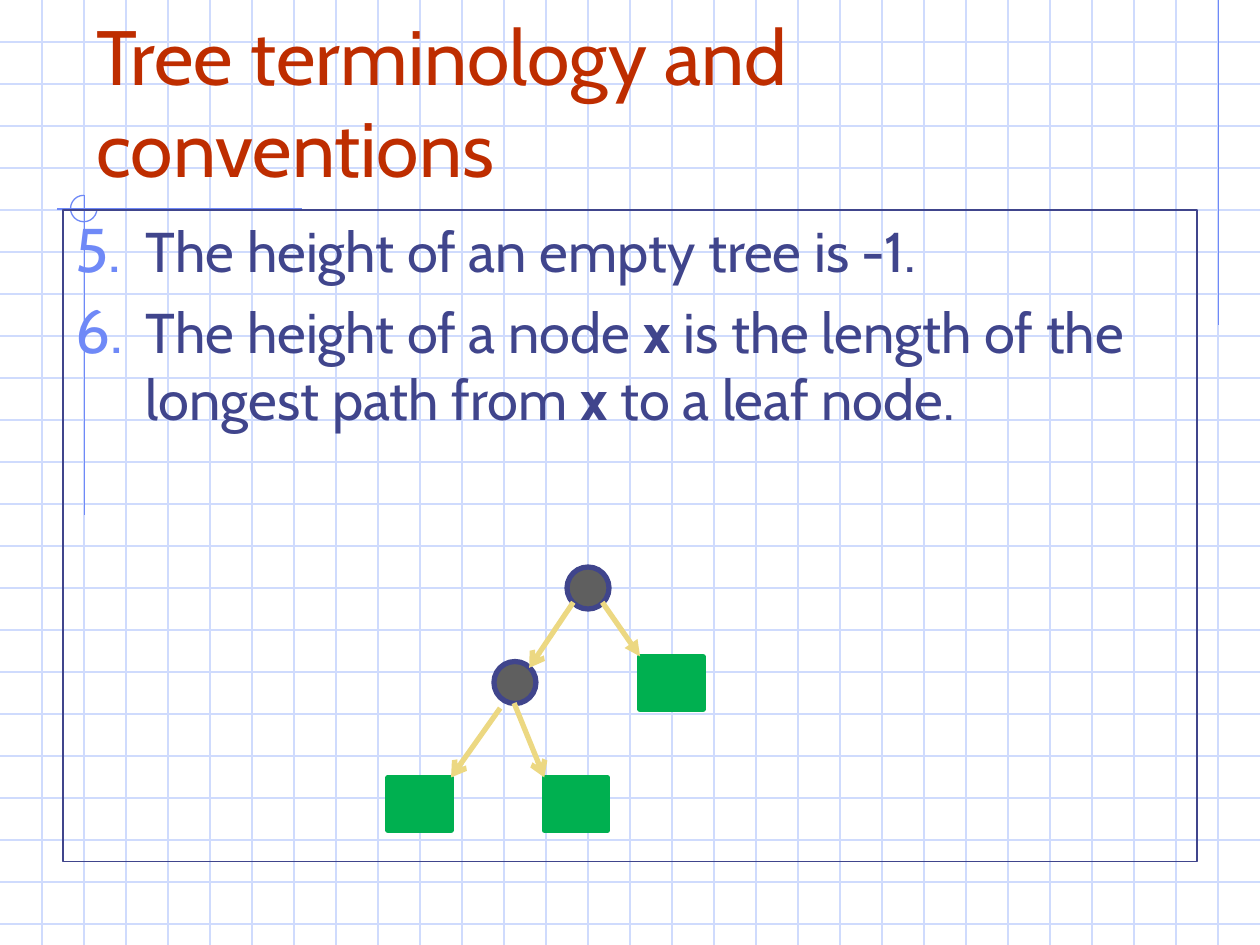
from dataclasses import dataclass
from lxml.etree import SubElement
from pptx import Presentation
from pptx.dml.color import RGBColor
from pptx.enum.shapes import MSO_CONNECTOR, MSO_SHAPE
from pptx.enum.text import MSO_ANCHOR, PP_ALIGN
from pptx.oxml.ns import qn
from pptx.util import Inches, Pt


@dataclass(frozen=True)
class Theme:
    font: str = "Cabin"
    title_size: int = 44
    body_size: int = 32
    thin: float = 0.75
    thick: float = 3
    grid: str = "CFDBFD"
    accent: str = "6F89F7"
    title: str = "BE2D00"
    body: str = "40458C"
    node: str = "5F5F5F"
    leaf: str = "00B050"
    edge: str = "ECD882"


T = Theme()
W, H = 10, 7.5
CELL = 1 / 3
FIRST_NUMBER = 5
INDENT = 0.56

TITLE = "Tree terminology and conventions"
ITEMS = [
    [("The height of an empty tree is -1.", False)],
    [("The height of a node ", False), ("x", True),
     (" is the length of the longest path from ", False),
     ("x ", True), ("to a leaf node.", False)],
]
ACCENTS = [((9.67, 0), (9.67, 2.58)), ((2.4, 1.66), (0.45, 1.66)),
           ((0.67, 1.55), (0.67, 4.09))]
NODES = [(4.5, 4.5), (3.92, 5.25)]
LEAVES = [(3.08, 6.17), (4.32, 6.17), (5.08, 5.21)]
EDGES = [((4.78, 4.78), (5.08, 5.21), "triangle"),
         ((4.55, 4.78), (4.2, 5.3), "arrow"),
         ((3.97, 5.62), (3.58, 6.17), "arrow"),
         ((4.08, 5.58), (4.32, 6.17), "arrow")]


def rgb(color):
    return RGBColor.from_string(color)


def add_line(s, start, end, color, width=T.thin, head=None):
    c = s.shapes.add_connector(MSO_CONNECTOR.STRAIGHT,
                               *(Inches(v) for v in (*start, *end)))
    c.line.color.rgb = rgb(color)
    c.line.width = Pt(width)
    if head:
        SubElement(c.line._get_or_add_ln(), qn("a:tailEnd"), type=head)
    SubElement(c._element.spPr, qn("a:effectLst"))


def add_shape(s, kind, box, line, width=T.thin, fill=None):
    sp = s.shapes.add_shape(kind, *(Inches(v) for v in box))
    sp.shadow.inherit = False
    if fill:
        sp.fill.solid()
        sp.fill.fore_color.rgb = rgb(fill)
    else:
        sp.fill.background()
    sp.line.color.rgb = rgb(line)
    sp.line.width = Pt(width)
    return sp


def format_run(r, size, color, bold=False):
    r.font.name = T.font
    r.font.size = Pt(size)
    r.font.bold = bold
    r.font.color.rgb = rgb(color)


def number_paragraph(p):
    p.alignment = PP_ALIGN.LEFT
    p.space_before = Pt(8)
    pPr = p._p.get_or_add_pPr()
    pPr.set("marL", str(Inches(INDENT)))
    pPr.set("indent", str(-Inches(INDENT)))
    SubElement(SubElement(pPr, qn("a:buClr")), qn("a:srgbClr"), val=T.accent)
    SubElement(pPr, qn("a:buSzPct"), val="110000")
    SubElement(pPr, qn("a:buFont"), typeface=T.font)
    SubElement(pPr, qn("a:buAutoNum"), type="arabicPeriod",
               startAt=str(FIRST_NUMBER))


def add_background(s):
    for i in range(1, int(H / CELL) + 1):
        add_line(s, (0, i * CELL), (W, i * CELL), T.grid)
    for i in range(1, int(W / CELL)):
        add_line(s, (i * CELL, 0), (i * CELL, H), T.grid)
    for start, end in ACCENTS:
        add_line(s, start, end, T.accent)
    arc = add_shape(s, MSO_SHAPE.ARC, (0.56, 1.55, 0.21, 0.21), T.accent)
    arc.adjustments[0] = 0
    arc.adjustments[1] = 162


def add_title(s):
    sp = s.shapes.title
    s.shapes._spTree.append(sp._element)
    sp.left, sp.top = Inches(2 * CELL), Inches(CELL)
    sp.width, sp.height = Inches(8.5), Inches(1.25)
    tf = sp.text_frame
    tf.text = TITLE
    tf.word_wrap = True
    tf.vertical_anchor = MSO_ANCHOR.BOTTOM
    p = tf.paragraphs[0]
    p.alignment = PP_ALIGN.LEFT
    format_run(p.runs[0], T.title_size, T.title)


def add_body(s):
    sp = add_shape(s, MSO_SHAPE.RECTANGLE,
                   (0.5, 5 * CELL, W - 1, 5.17), T.body)
    tf = sp.text_frame
    tf.word_wrap = True
    tf.vertical_anchor = MSO_ANCHOR.TOP
    for i, item in enumerate(ITEMS):
        p = tf.add_paragraph() if i else tf.paragraphs[0]
        number_paragraph(p)
        for text, bold in item:
            r = p.add_run()
            r.text = text
            format_run(r, T.body_size, T.body, bold)


def add_tree(s):
    for x, y in NODES:
        add_shape(s, MSO_SHAPE.OVAL, (x, y, CELL, CELL),
                  T.body, T.thick, T.node)
    for x, y in LEAVES:
        add_shape(s, MSO_SHAPE.RECTANGLE, (x, y, 0.5, 0.42),
                  T.leaf, T.thick, T.leaf)
    for start, end, head in EDGES:
        add_line(s, start, end, T.edge, T.thick, head)


def main():
    prs = Presentation()
    prs.slide_width, prs.slide_height = Inches(W), Inches(H)
    s = prs.slides.add_slide(prs.slide_layouts[5])
    add_background(s)
    add_title(s)
    add_body(s)
    add_tree(s)
    prs.save("out.pptx")


if __name__ == "__main__":
    main()
